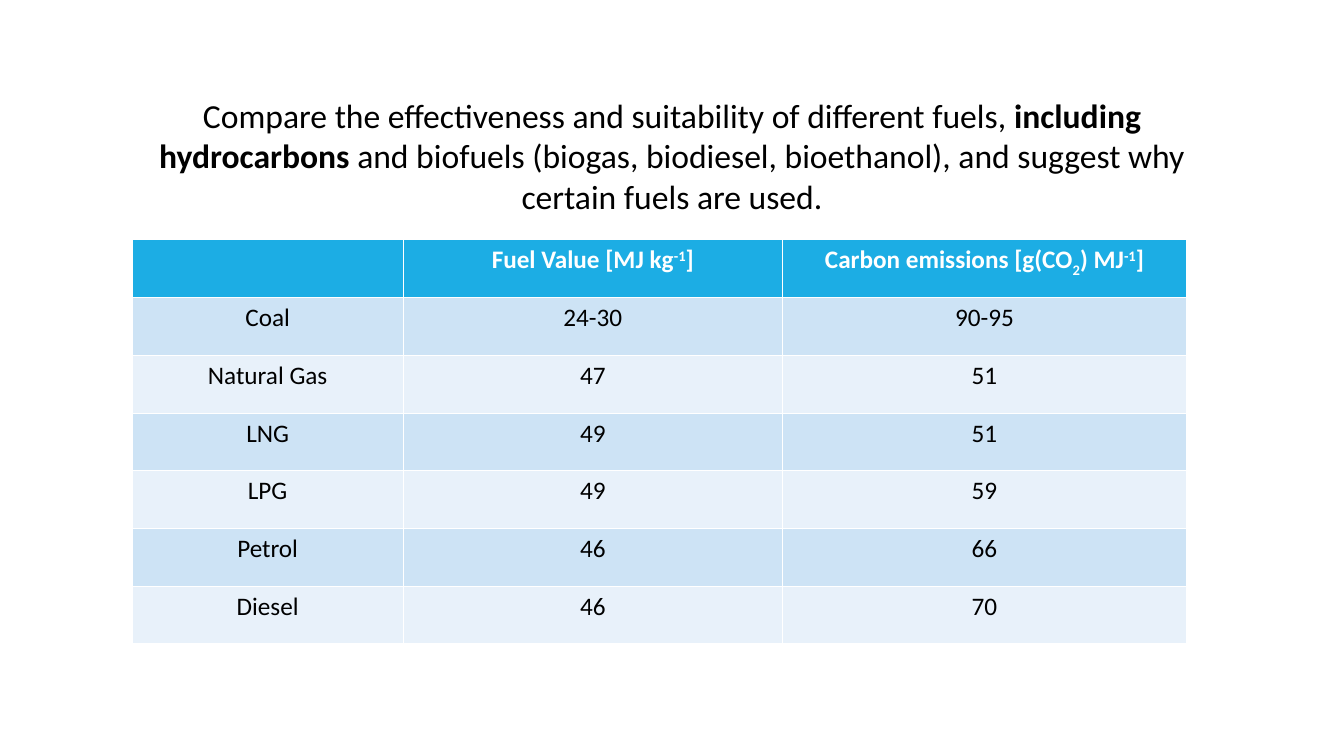
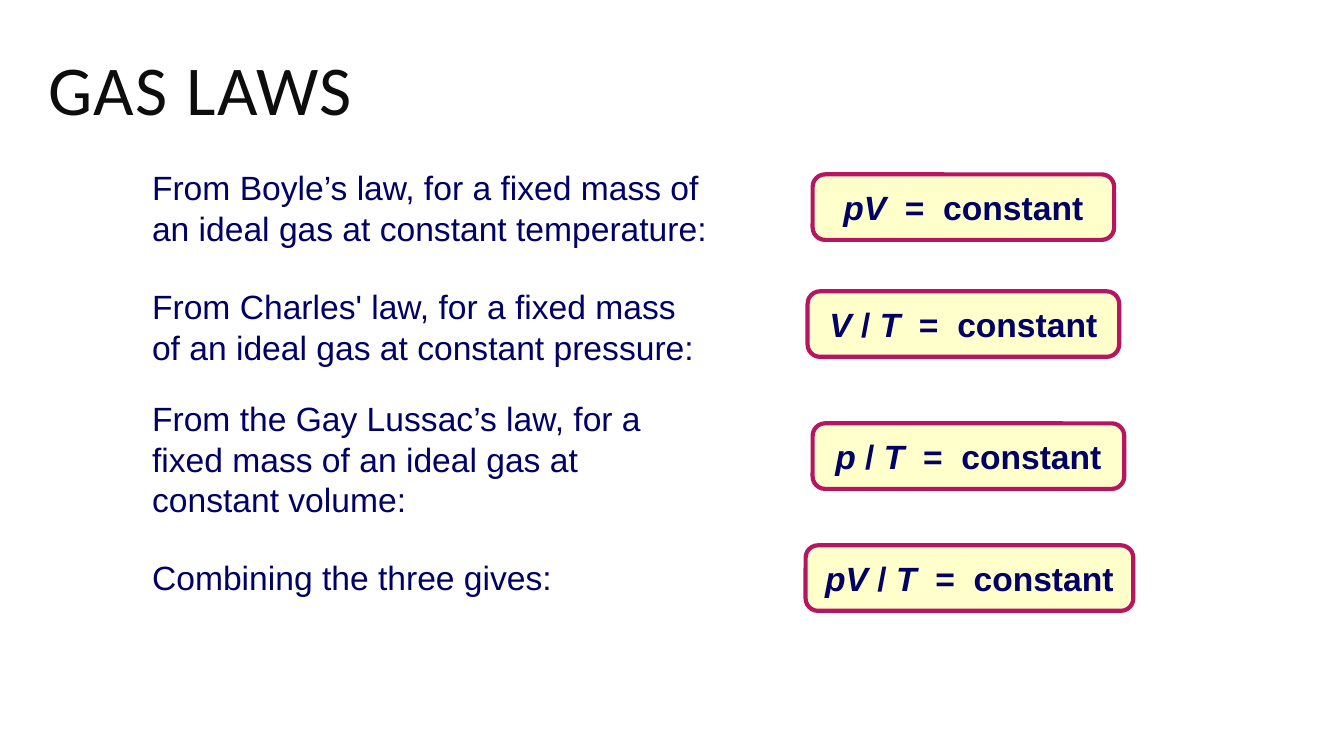
"""Builds two chemistry slides: a fuel comparison table and the gas laws."""
from pptx import Presentation
from pptx.dml.color import RGBColor
from pptx.enum.shapes import MSO_SHAPE
from pptx.enum.text import MSO_ANCHOR, MSO_AUTO_SIZE, PP_ALIGN
from pptx.util import Inches, Pt

LEFT, CENTER = PP_ALIGN.LEFT, PP_ALIGN.CENTER
TOP, MIDDLE = MSO_ANCHOR.TOP, MSO_ANCHOR.MIDDLE
NO_AUTOFIT = MSO_AUTO_SIZE.NONE
ROUNDED = MSO_SHAPE.ROUNDED_RECTANGLE
TITLE_ONLY = 5

HEADING_FONT, LAW_FONT = "Calibri", "Arial"
BLACK, WHITE, TITLE_INK, NAVY = "000000", "FFFFFF", "0D0D0D", "010066"
HEADER_FILL, BAND_FILLS = "1CADE4", ("CDE3F5", "E8F1FA")
EQUATION_FILL, EQUATION_LINE = "FFFFCC", "B71562"

BOLD, ITALIC, SUPER, SUB = {"b": "1"}, {"i": "1"}, {"baseline": "30000"}, {"baseline": "-25000"}
TRACKED = {"spc": "100"}

FUEL_TASK = [
    ("Compare the effectiveness and suitability of different fuels, ", {}),
    ("including hydrocarbons ", BOLD),
    ("and biofuels (biogas, biodiesel, bioethanol), and suggest why certain fuels are used.", {}),
]
FUEL_HEADER = [
    [],
    [("Fuel Value [MJ kg", {}), ("-1", SUPER), ("]", {})],
    [("Carbon emissions [g(CO", {}), ("2", SUB), (") MJ", {}), ("-1", SUPER), ("]", {})],
]
FUELS = [
    ("Coal", "24-30", "90-95"),
    ("Natural Gas", "47", "51"),
    ("LNG", "49", "51"),
    ("LPG", "49", "59"),
    ("Petrol", "46", "66"),
    ("Diesel", "46", "70"),
]
FUEL_COLUMNS = (2.69, 3.76, 4.01)
FUEL_ROW = 4.01 / 7

GAS_TITLE = [("GAS LAWS", TRACKED)]
LAW_LEFT, EQUATION_HEIGHT = 1.41, 0.65
# statement, (top, width, height), equation, (left, top, width)
GAS_LAWS = [
    ("From Boyle’s law, for a fixed mass of an ideal gas at constant temperature:",
     (1.61, 5.76, 0.91),
     [("pV", ITALIC), ("  =  constant", {})], (8.06, 1.73, 2.99)),
    ("From Charles' law, for a fixed mass of an ideal gas at constant pressure:",
     (2.79, 5.68, 0.91),
     [("V", ITALIC), (" / ", {}), ("T", ITALIC), ("  =  constant", {})], (8.01, 2.89, 3.09)),
    ("From the Gay Lussac’s law, for a fixed mass of an ideal gas at constant volume:",
     (3.9, 5.68, 1.31),
     [("p", ITALIC), (" / ", {}), ("T  ", ITALIC), ("=  constant", {})], (8.06, 4.2, 3.09)),
    ("Combining the three gives:",
     (5.48, 4.98, 0.51),
     [("pV", ITALIC), (" / ", {}), ("T ", ITALIC), (" =  constant", {})], (7.99, 5.41, 3.25)),
]


def rgb(value):
    return RGBColor.from_string(value)


def write(frame, pieces, font, size, color, align=LEFT, bold=False):
    paragraph = frame.paragraphs[0]
    paragraph.alignment = align
    paragraph.font.name = font
    paragraph.font.size = Pt(size)
    paragraph.font.bold = bold
    paragraph.font.color.rgb = rgb(color)
    for text, style in pieces:
        run = paragraph.add_run()
        run.text = text
        for name, value in style.items():
            run._r.get_or_add_rPr().set(name, value)
    return paragraph


def add_titled_slide(deck, pieces, box, size, color, align, anchor):
    slide = deck.slides.add_slide(deck.slide_layouts[TITLE_ONLY])
    title = slide.shapes.title
    title.left, title.top, title.width, title.height = map(Inches, box)
    frame = title.text_frame
    frame.auto_size, frame.word_wrap, frame.vertical_anchor = NO_AUTOFIT, True, anchor
    return slide, write(frame, pieces, HEADING_FONT, size, color, align)


def fill_cell(cell, pieces, fill, color, bold):
    cell.fill.solid()
    cell.fill.fore_color.rgb = rgb(fill)
    write(cell.text_frame, pieces, HEADING_FONT, 18, color, CENTER, bold)


def add_fuel_table(slide):
    count = len(FUELS) + 1
    table = slide.shapes.add_table(
        count, len(FUEL_COLUMNS), Inches(1.31), Inches(2.38),
        Inches(sum(FUEL_COLUMNS)), Inches(FUEL_ROW * count)).table
    for column, width in zip(table.columns, FUEL_COLUMNS):
        column.width = Inches(width)
    for index, pieces in enumerate(FUEL_HEADER):
        fill_cell(table.cell(0, index), pieces, HEADER_FILL, WHITE, True)
    for row, fuel in enumerate(FUELS):
        for index, value in enumerate(fuel):
            fill_cell(table.cell(row + 1, index), [(value, {})], BAND_FILLS[row % 2], BLACK, False)


def add_law(slide, statement, statement_box, equation, equation_box):
    top, width, height = map(Inches, statement_box)
    frame = slide.shapes.add_textbox(Inches(LAW_LEFT), top, width, height).text_frame
    frame.word_wrap = True
    write(frame, [(statement, {})], LAW_FONT, 24, NAVY)

    left, top, width = map(Inches, equation_box)
    plate = slide.shapes.add_shape(ROUNDED, left, top, width, Inches(EQUATION_HEIGHT))
    plate.adjustments[0] = 0.19
    plate.shadow.inherit = False
    plate.fill.solid()
    plate.fill.fore_color.rgb = rgb(EQUATION_FILL)
    plate.line.color.rgb = rgb(EQUATION_LINE)
    plate.line.width = Pt(3)
    plate.text_frame.word_wrap = False
    plate.text_frame.vertical_anchor = MIDDLE
    write(plate.text_frame, equation, LAW_FONT, 24, NAVY, CENTER, True)


def main():
    deck = Presentation()
    deck.slide_width, deck.slide_height = Inches(13.33), Inches(7.5)

    fuel_slide, _ = add_titled_slide(
        deck, FUEL_TASK, (1.04, 0.89, 11.25, 1.62), 24, BLACK, CENTER, TOP)
    add_fuel_table(fuel_slide)

    gas_slide, gas_title = add_titled_slide(
        deck, GAS_TITLE, (0.38, 0.23, 10.5, 1.43), 50, TITLE_INK, LEFT, MIDDLE)
    gas_title.line_spacing = 0.8
    for law in GAS_LAWS:
        add_law(gas_slide, *law)

    deck.save("out.pptx")


if __name__ == "__main__":
    main()
